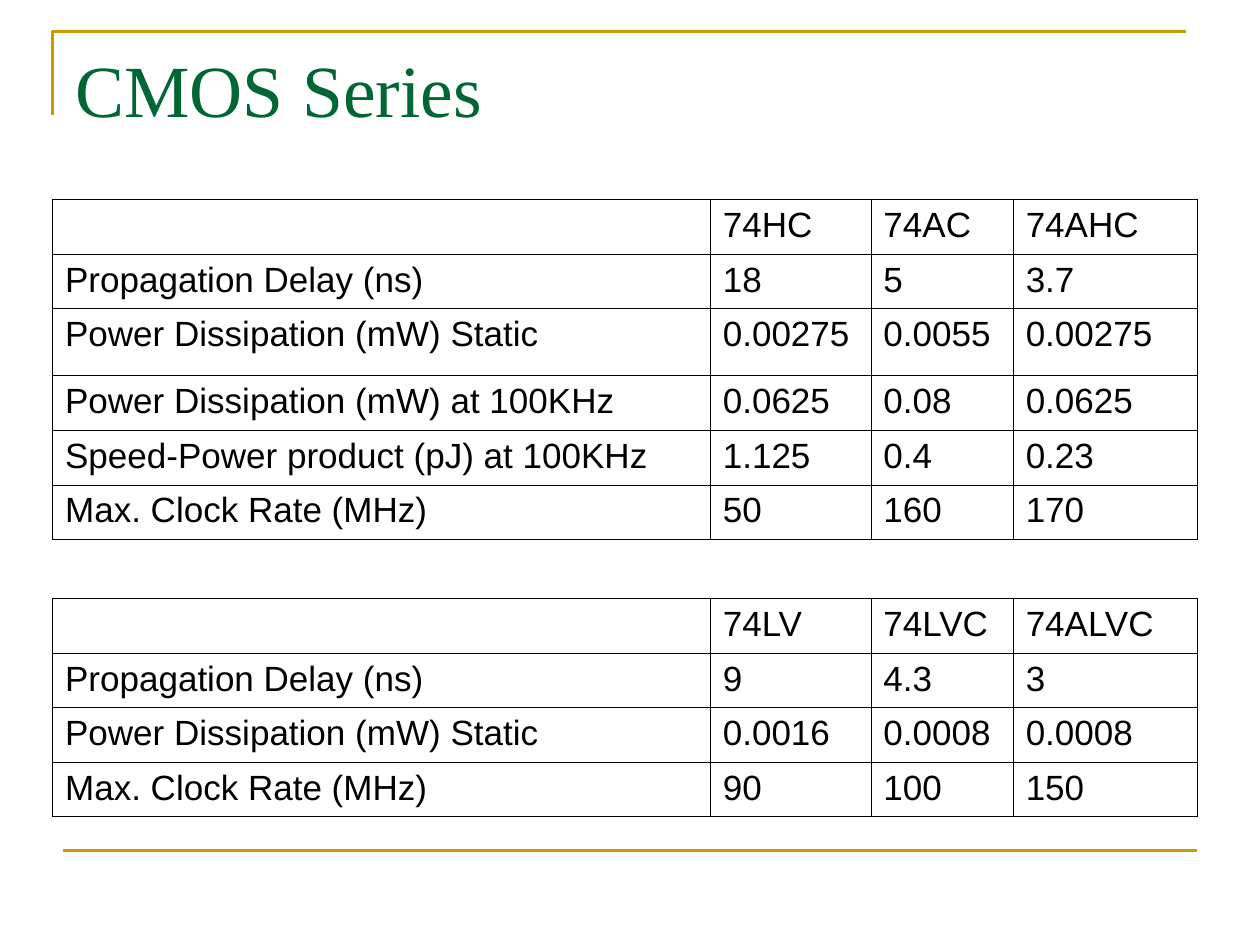
from dataclasses import dataclass

from lxml import etree
from pptx import Presentation
from pptx.dml.color import RGBColor
from pptx.enum.shapes import MSO_CONNECTOR
from pptx.enum.text import MSO_ANCHOR, PP_ALIGN
from pptx.oxml.ns import qn
from pptx.slide import Slide
from pptx.text.text import Font
from pptx.util import Emu, Inches, Pt

STRAIGHT = MSO_CONNECTOR.STRAIGHT
TOP = MSO_ANCHOR.TOP
LEFT, JUSTIFY = PP_ALIGN.LEFT, PP_ALIGN.JUSTIFY

SLIDE_WIDTH, SLIDE_HEIGHT = Inches(10), Inches(7.5)
GRID_UNIT = SLIDE_WIDTH / 120  # the slide is 120 columns by 90 rows


@dataclass(frozen=True)
class Theme:
    title_font: str = "Times New Roman"
    title_size: float = 42
    title_color: str = "006633"
    cell_font: str = "Arial"
    cell_size: float = 20
    cell_color: str = "000000"
    border_color: str = "000000"
    border_width: float = 0.45
    rule_color: str = "CC9900"
    rule_width: float = 1.5


@dataclass(frozen=True)
class SeriesTable:
    top: float
    rows: list[tuple[str, ...]]
    row_heights: list[float]


THEME = Theme()
TABLE_LEFT = 5
COLUMN_WIDTHS = [62.65, 15.3, 13.55, 17.5]
ROW_HEIGHT, TALL_ROW_HEIGHT = 5.2, 6.4
HANGING_INDENT = 4.5

SERIES_TABLES = [
    SeriesTable(
        top=19,
        rows=[
            ("", "74HC", "74AC", "74AHC"),
            ("Propagation Delay (ns)", "18", "5", "3.7"),
            ("Power Dissipation (mW) Static", "0.00275", "0.0055", "0.00275"),
            ("Power Dissipation (mW) at 100KHz", "0.0625", "0.08", "0.0625"),
            ("Speed-Power product (pJ) at 100KHz", "1.125", "0.4", "0.23"),
            ("Max. Clock Rate (MHz)", "50", "160", "170"),
        ],
        row_heights=[ROW_HEIGHT] * 2 + [TALL_ROW_HEIGHT] + [ROW_HEIGHT] * 3,
    ),
    SeriesTable(
        top=57,
        rows=[
            ("", "74LV", "74LVC", "74ALVC"),
            ("Propagation Delay (ns)", "9", "4.3", "3"),
            ("Power Dissipation (mW) Static", "0.0016", "0.0008", "0.0008"),
            ("Max. Clock Rate (MHz)", "90", "100", "150"),
        ],
        row_heights=[ROW_HEIGHT] * 4,
    ),
]


def grid(units: float) -> Emu:
    """Turn grid units into a length."""
    return Emu(round(units * GRID_UNIT))


def style_font(font: Font, name: str, size: float, color: str) -> None:
    font.name = name
    font.size = Pt(size)
    font.bold = False
    font.color.rgb = RGBColor.from_string(color)


def style_rule(shape) -> None:
    shape.line.color.rgb = RGBColor.from_string(THEME.rule_color)
    shape.line.width = Pt(THEME.rule_width)


def draw_corner_rule(slide: Slide) -> None:
    builder = slide.shapes.build_freeform(grid(5), grid(11))
    builder.add_line_segments([(grid(5), grid(3)), (grid(113), grid(3))], close=False)
    corner = builder.convert_to_shape()
    corner.fill.background()
    corner.shadow.inherit = False
    style_rule(corner)


def draw_bottom_rule(slide: Slide) -> None:
    rule = slide.shapes.add_connector(STRAIGHT, grid(6), grid(81), grid(114), grid(81))
    style_rule(rule)
    etree.SubElement(rule._element.spPr, qn("a:effectLst"))


def write_title(slide: Slide, text: str) -> None:
    title = slide.shapes.title
    title.left, title.top = grid(6), grid(3.6)
    title.width, title.height = grid(108), grid(15)
    title.text_frame.text = text
    title.text_frame.vertical_anchor = TOP
    paragraph = title.text_frame.paragraphs[0]
    paragraph.alignment = LEFT
    style_font(paragraph.runs[0].font, THEME.title_font, THEME.title_size, THEME.title_color)


def add_borders(cell) -> None:
    properties = cell._tc.get_or_add_tcPr()
    for side in ("lnL", "lnR", "lnT", "lnB"):
        line = etree.SubElement(properties, qn(f"a:{side}"), w=str(Pt(THEME.border_width)))
        fill = etree.SubElement(line, qn("a:solidFill"))
        etree.SubElement(fill, qn("a:srgbClr"), val=THEME.border_color)


def fill_cell(cell, text: str) -> None:
    add_borders(cell)
    cell.fill.background()
    if not text:
        return
    cell.text_frame.text = text
    paragraph = cell.text_frame.paragraphs[0]
    paragraph.alignment = JUSTIFY
    properties = paragraph._p.get_or_add_pPr()
    properties.set("marL", str(grid(HANGING_INDENT)))
    properties.set("indent", str(-grid(HANGING_INDENT)))
    style_font(paragraph.runs[0].font, THEME.cell_font, THEME.cell_size, THEME.cell_color)


def draw_table(slide: Slide, series: SeriesTable) -> None:
    table = slide.shapes.add_table(
        len(series.rows), len(COLUMN_WIDTHS), grid(TABLE_LEFT), grid(series.top),
        grid(sum(COLUMN_WIDTHS)), grid(sum(series.row_heights)),
    ).table
    table.first_row = False
    table.horz_banding = False
    for column, width in zip(table.columns, COLUMN_WIDTHS):
        column.width = grid(width)
    for row, height, texts in zip(table.rows, series.row_heights, series.rows):
        row.height = grid(height)
        for cell, text in zip(row.cells, texts):
            fill_cell(cell, text)


def main() -> None:
    presentation = Presentation()
    presentation.slide_width, presentation.slide_height = SLIDE_WIDTH, SLIDE_HEIGHT
    title_only = presentation.slide_layouts[5]
    slide = presentation.slides.add_slide(title_only)
    draw_corner_rule(slide)
    draw_bottom_rule(slide)
    write_title(slide, "CMOS Series")
    for series in SERIES_TABLES:
        draw_table(slide, series)
    presentation.save("out.pptx")


if __name__ == "__main__":
    main()
